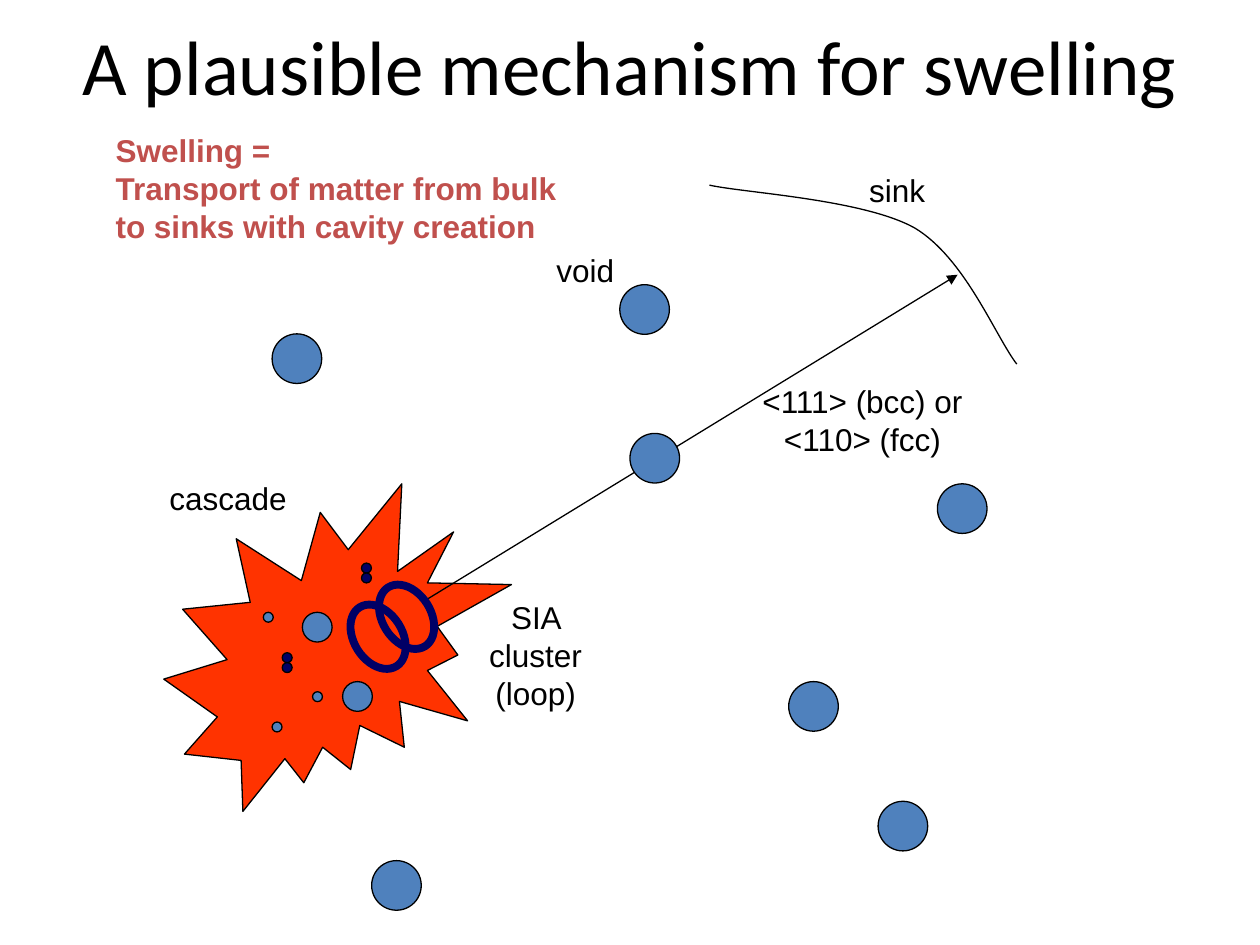
"""Build the slide on a plausible mechanism for swelling."""
from dataclasses import dataclass

from lxml import etree
from pptx import Presentation
from pptx.dml.color import RGBColor
from pptx.enum import shapes, text
from pptx.oxml import ns
from pptx.util import Pt


@dataclass(frozen=True)
class Theme:
    ink: RGBColor = RGBColor(0, 0, 0)
    accent: RGBColor = RGBColor(0xC0, 0x50, 0x4D)
    vacancy: RGBColor = RGBColor(0x4F, 0x81, 0xBD)
    interstitial: RGBColor = RGBColor(0, 0, 0x66)
    cascade: RGBColor = RGBColor(0xFF, 0x33, 0)
    title_size: int = 44
    label_size: int = 18
    thin: float = 0.75
    thick: float = 4.5


theme = Theme()


def write(frame, paragraphs, align, **font_values):
    frame.text = "\n".join(paragraphs)
    for paragraph in frame.paragraphs:
        paragraph.alignment = align
        for run in paragraph.runs:
            run.font.color.rgb = font_values["color"]
            for key in ("name", "size", "bold"):
                setattr(run.font, key, font_values[key])


def draw(parent, kind, box, fill, line=theme.ink, width=theme.thin, rotation=0):
    shape = parent.add_shape(kind, *map(Pt, box))
    shape.shadow.inherit = False
    shape.rotation = rotation
    if fill is None:
        shape.fill.background()
    else:
        shape.fill.solid()
        shape.fill.fore_color.rgb = fill
    shape.line.color.rgb = line
    shape.line.width = Pt(width)


deck = Presentation()
deck.slide_width, deck.slide_height = Pt(720), Pt(540)
slide = deck.slides.add_slide(deck.slide_layouts[5])
canvas = slide.shapes
OVAL = shapes.MSO_SHAPE.OVAL

title = canvas.title
title_box = {"left": 36, "top": -8, "width": 648, "height": 90}
for key, value in title_box.items():
    setattr(title, key, Pt(value))
title.text_frame.vertical_anchor = text.MSO_ANCHOR.MIDDLE
write(title.text_frame, ["A plausible mechanism for swelling"], text.PP_ALIGN.CENTER,
      name="Calibri", size=Pt(theme.title_size), bold=False, color=theme.ink)

draw(canvas, shapes.MSO_SHAPE.EXPLOSION2, (93.6, 276.5, 198.7, 187.2), theme.cascade)

glide = canvas.add_connector(shapes.MSO_CONNECTOR.STRAIGHT,
                             Pt(241.2), Pt(344.2), Pt(547.2), Pt(157))
glide.line.color.rgb = theme.ink
glide.line.width = Pt(theme.thin)
etree.SubElement(glide.line._get_or_add_ln(), ns.qn("a:tailEnd"), type="triangle")
etree.SubElement(glide._element.spPr, ns.qn("a:effectLst"))

for left, top in [(202.2, 344), (218.5, 332.6)]:
    draw(canvas, OVAL, (left, top, 27.7, 39.7), None, theme.interstitial, theme.thick, 328)

vacancies = {
    28.35: [(354.2, 162.7), (501.8, 457.9), (212.4, 491.8), (155.5, 190.8),
            (450.7, 389.5), (535.7, 276.5), (360, 247.7)],
    17: [(195.8, 389.5), (172.8, 349.9)],
    5.67: [(178.6, 395.3), (150.5, 349.9), (155.5, 412.6)],
}
for diameter, corners in vacancies.items():
    for left, top in corners:
        draw(canvas, OVAL, (left, top, diameter, diameter), theme.vacancy)

dot = 5.67
for left, top in [(161.3, 373), (206.6, 321.8)]:
    pair = canvas.add_group_shape()
    for step in range(2):
        draw(pair.shapes, OVAL, (left, top + step * dot, dot, dot), theme.interstitial)

sink_points = [(405.4, 105.8), (424.8, 110.2), (493.2, 113.8), (522.7, 130.3),
               (551.5, 147.6), (568.8, 192.2), (581, 208.1)]
start, *bends = [(Pt(x), Pt(y)) for x, y in sink_points]
builder = canvas.build_freeform(*start)
builder.add_line_segments(bends, close=False)
sink = builder.convert_to_shape()
sink.shadow.inherit = False
sink.fill.background()
sink.line.color.rgb = theme.ink
sink.line.width = Pt(theme.thin)
segments = sink._element.xpath(".//a:lnTo")
for first in range(0, len(segments), 3):
    trio = segments[first:first + 3]
    bezier = etree.Element(ns.qn("a:cubicBezTo"))
    trio[0].addprevious(bezier)
    for segment in trio:
        bezier.append(segment[0])
        segment.getparent().remove(segment)

centre, left_side = text.PP_ALIGN.CENTER, text.PP_ALIGN.LEFT
labels = [
    ((59, 71.3, 277.9, 72), left_side, theme.accent, True,
     ["Swelling =", "Transport of matter from bulk to sinks with cavity creation"]),
    ((427.7, 214.6, 130.3, 50.4), centre, theme.ink, False, ["<111> (bcc) or <110> (fcc)"]),
    ((478.8, 94.3, 67.7, 28.8), centre, theme.ink, False, ["sink"]),
    ((303.1, 139.7, 62.6, 28.8), centre, theme.ink, False, ["void"]),
    ((257.8, 338.4, 96.5, 72), centre, theme.ink, False, ["SIA cluster (loop)"]),
    ((82.1, 270, 96.5, 28.8), centre, theme.ink, False, ["cascade"]),
]
for box, align, color, bold, paragraphs in labels:
    frame = canvas.add_textbox(*map(Pt, box)).text_frame
    frame.word_wrap = True
    frame.auto_size = text.MSO_AUTO_SIZE.SHAPE_TO_FIT_TEXT
    write(frame, paragraphs, align,
          name="Arial", size=Pt(theme.label_size), bold=bold, color=color)

deck.save("out.pptx")
